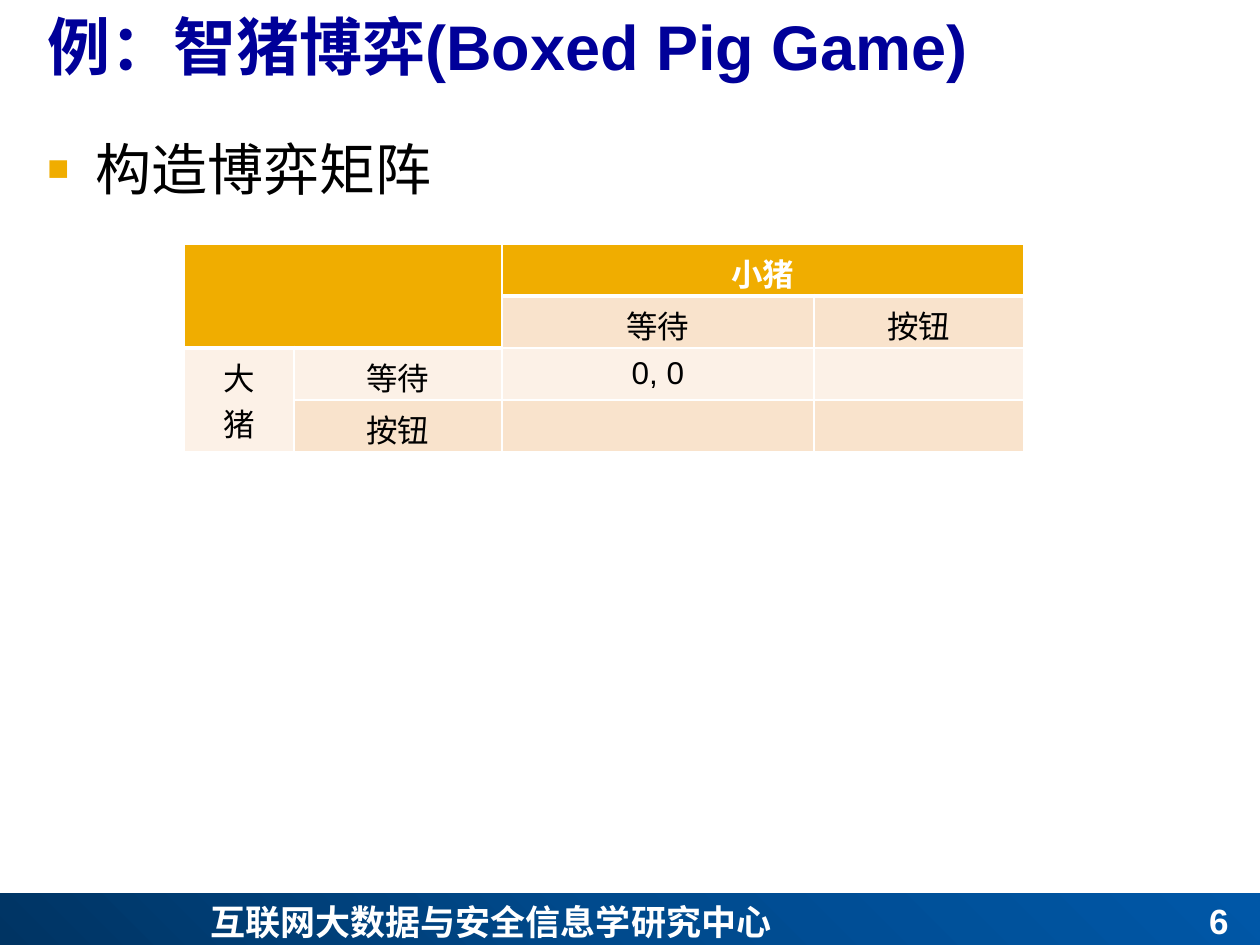
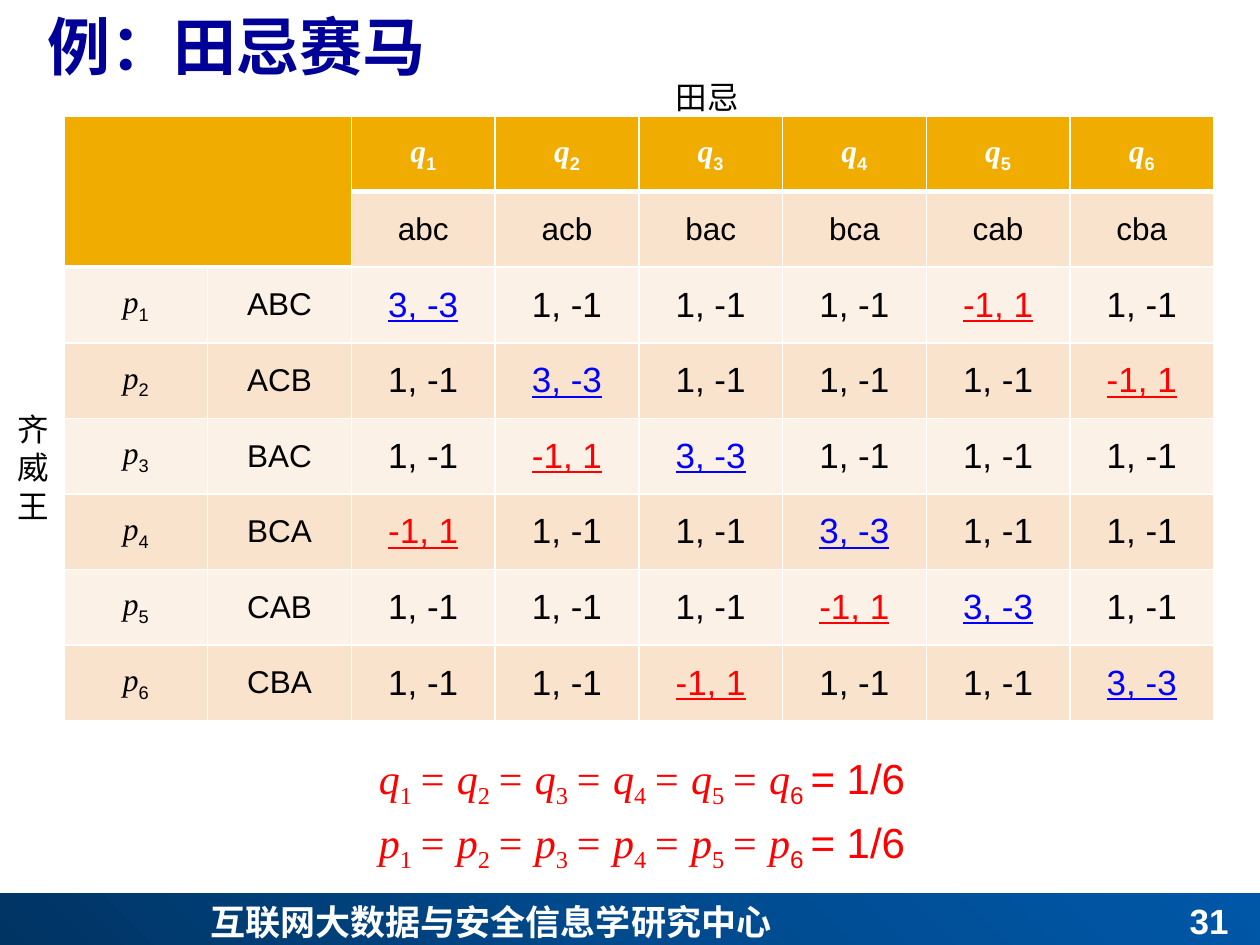
"""Build two game theory slides: the boxed pig game and Tian Ji's horse race."""
from lxml import etree
from pptx import Presentation
from pptx.dml.color import RGBColor
from pptx.enum.shapes import MSO_SHAPE
from pptx.enum.text import MSO_ANCHOR, PP_ALIGN
from pptx.oxml import parse_xml
from pptx.oxml.ns import nsdecls, qn
from pptx.util import Emu, Pt

LEFT, CENTER, RIGHT, JUSTIFY = PP_ALIGN.LEFT, PP_ALIGN.CENTER, PP_ALIGN.RIGHT, PP_ALIGN.JUSTIFY
TOP, MIDDLE, BOTTOM = MSO_ANCHOR.TOP, MSO_ANCHOR.MIDDLE, MSO_ANCHOR.BOTTOM
RECTANGLE = MSO_SHAPE.RECTANGLE

WHITE = RGBColor(0xFF, 0xFF, 0xFF)
BLACK = RGBColor(0, 0, 0)
NAVY = RGBColor(0, 0, 0x99)
BLUE = RGBColor(0, 0, 0xFF)
RED = RGBColor(0xFF, 0, 0)
GOLD = RGBColor(0xF0, 0xAD, 0)
PEACH = RGBColor(0xF9, 0xE3, 0xCC)
CREAM = RGBColor(0xFC, 0xF1, 0xE7)
BAND_STOPS = [(0, RGBColor(0, 0x34, 0x63)), (50, RGBColor(0, 0x4A, 0x8D)),
              (100, RGBColor(0, 0x57, 0xA7))]

SANS, SERIF, CJK = "Arial", "Times New Roman", "Noto Sans CJK SC"
PX_PER_INCH = 126

CENTRE_NAME = "互联网大数据与安全信息学研究中心"
PIG_TITLE = "例：智猪博弈(Boxed Pig Game)"
PIG_POINT = "构造博弈矩阵"
PIG_ROWS = [
    ["", "", "小猪", ""],
    ["", "", "等待", "按钮"],
    ["大\n猪", "等待", "0, 0", ""],
    ["", "按钮", "", ""],
]
PIG_MERGES = [(0, 0, 1, 1), (0, 2, 0, 3), (2, 0, 3, 0)]
PIG_WIDTHS = [110, 208, 312, 210]

RACE_TITLE = "例：田忌赛马"
TIAN_JI = "田忌"
KING = "齐\n威\n王"
ORDERS = ["abc", "acb", "bac", "bca", "cab", "cba"]
KING_LOSES = [4, 5, 1, 0, 3, 2]
RACE_MERGES = [(0, 0, 1, 1)]


def px(length):
    return Emu(round(length * 914400 / PX_PER_INCH))


def add_run(paragraph, text, size=18, color=BLACK, font=SANS, bold=False,
            italic=False, underline=False, subscript=False):
    run = paragraph.add_run()
    run.text = text
    run.font.size = Pt(size)
    run.font.color.rgb = color
    run.font.name = font
    run.font.bold = bold
    run.font.italic = italic
    run.font.underline = underline
    properties = run._r.get_or_add_rPr()
    if subscript:
        properties.set("baseline", "-25000")
    east_asian = etree.SubElement(properties, qn("a:ea"))
    east_asian.set("typeface", CJK)


def write(frame, content, align, line=None, **style):
    """Fill a frame from a string with line breaks or a list of (text, style) runs."""
    lines = [[(text, {})] for text in content.split("\n")] if isinstance(content, str) else [content]
    for index, runs in enumerate(lines):
        paragraph = frame.add_paragraph() if index else frame.paragraphs[0]
        paragraph.alignment = align
        if line:
            paragraph.line_spacing = Pt(line)
        for text, extra in runs:
            if text:
                add_run(paragraph, text, **{**style, **extra})


def add_text(slide, box, content, align=LEFT, anchor=TOP, wrap=True, line=None, **style):
    frame = slide.shapes.add_textbox(*map(px, box)).text_frame
    frame.word_wrap = wrap
    frame.vertical_anchor = anchor
    write(frame, content, align, line, **style)
    return frame


def add_band(slide):
    band = slide.shapes.add_shape(RECTANGLE, *map(px, (0, 893, 1260, 55)))
    band.shadow.inherit = False
    band.line.fill.background()
    stops = "".join(f'<a:gs pos="{position * 1000}"><a:srgbClr val="{color}"/></a:gs>'
                    for position, color in BAND_STOPS)
    gradient = parse_xml(
        f'<a:gradFill {nsdecls("a")} rotWithShape="1"><a:gsLst>{stops}</a:gsLst>'
        '<a:path path="circle"><a:fillToRect t="100000" r="100000"/></a:path></a:gradFill>')
    band._element.spPr.find(qn("a:prstGeom")).addnext(gradient)


def start_slide(deck, title, number):
    slide = deck.slides.add_slide(deck.slide_layouts[6])
    add_band(slide)
    heading = dict(font=SANS, bold=True)
    add_text(slide, (198, 891, 863, 55), CENTRE_NAME, JUSTIFY, line=26,
             size=20, color=WHITE, font=CJK, bold=True)
    add_text(slide, (35, -4, 1225, 100), title, anchor=MIDDLE, line=43,
             size=36, color=NAVY, **heading)
    add_text(slide, (948, 893, 293, 55), str(number), RIGHT, BOTTOM,
             size=20, color=WHITE, **heading)
    return slide


def add_bullet(slide, text):
    frame = add_text(slide, (35, 122, 1191, 728), text, line=42, size=32)
    properties = frame.paragraphs[0]._p.get_or_add_pPr()
    properties.set("marL", str(px(48)))
    properties.set("indent", str(-px(48)))
    for bullet in (f'<a:buClr {nsdecls("a")}><a:srgbClr val="{GOLD}"/></a:buClr>',
                   f'<a:buSzPct {nsdecls("a")} val="65000"/>',
                   f'<a:buFont {nsdecls("a")} typeface="{SANS}"/>',
                   f'<a:buChar {nsdecls("a")} char="■"/>'):
        properties.append(parse_xml(bullet))


def add_borders(cell, top, bottom):
    properties = cell._tc.get_or_add_tcPr()
    for place, (side, points) in enumerate(zip("LRTB", (1, 1, top, bottom))):
        properties.insert(place, parse_xml(
            f'<a:ln{side} {nsdecls("a")} w="{Pt(points)}"><a:solidFill>'
            f'<a:srgbClr val="{WHITE}"/></a:solidFill></a:ln{side}>'))


def add_matrix(slide, left, top, widths, row_height, rows, merges):
    """Draw a payoff matrix with a gold corner and head row over tinted stripes."""
    table = slide.shapes.add_table(len(rows), len(widths), px(left), px(top),
                                   px(sum(widths)), px(row_height * len(rows))).table
    table.first_row = table.horz_banding = False
    for column, width in zip(table.columns, widths):
        column.width = px(width)
    for row in table.rows:
        row.height = px(row_height)
    for r1, c1, r2, c2 in merges:
        table.cell(r1, c1).merge(table.cell(r2, c2))
    for r, row in enumerate(rows):
        for c, content in enumerate(row):
            cell = table.cell(r, c)
            head_depth = 2 if c < 2 else 1
            is_head = r < head_depth
            cell.fill.solid()
            cell.fill.fore_color.rgb = GOLD if is_head else PEACH if r % 2 else CREAM
            cell.vertical_anchor = MIDDLE
            add_borders(cell, 3 if r == head_depth else 1, 3 if is_head else 1)
            write(cell.text_frame, content, CENTER,
                  color=WHITE if is_head else BLACK, bold=is_head)


def symbol(letter, number):
    return [(letter, dict(font=SERIF, italic=True)), (str(number), dict(subscript=True))]


def payoff(king, rival):
    if king == rival:
        return [("3, -3", dict(size=20, color=BLUE, underline=True))]
    if KING_LOSES[king] == rival:
        return [("-1, 1", dict(size=20, color=RED, underline=True))]
    return [("1, -1", dict(size=20))]


def race_rows():
    count = len(ORDERS)
    rows = [["", ""] + [symbol("q", n + 1) for n in range(count)], ["", ""] + ORDERS]
    for king, order in enumerate(ORDERS):
        rows.append([symbol("p", king + 1), order.upper()]
                    + [payoff(king, rival) for rival in range(count)])
    return rows


def equal_odds(letter):
    count = len(ORDERS)
    runs = []
    for n in range(1, count + 1):
        runs.append((letter if n == 1 else f"= {letter}", dict(font=SERIF, italic=True)))
        runs.append((f"{n} ", dict(font=SANS if n == count else SERIF, subscript=True)))
    return runs + [(f"= 1/{count}", {})]


def build_pig_slide(deck):
    slide = start_slide(deck, PIG_TITLE, 6)
    add_matrix(slide, 184, 244, PIG_WIDTHS, 52, PIG_ROWS, PIG_MERGES)
    add_bullet(slide, PIG_POINT)


def build_race_slide(deck):
    slide = start_slide(deck, RACE_TITLE, 31)
    rows = race_rows()
    columns = len(rows[0])
    add_matrix(slide, 64, 116, [1150 / columns] * columns, 605 / len(rows), rows, RACE_MERGES)
    add_text(slide, (0, 403, 67, 127), KING, CENTER, line=22)
    add_text(slide, (663, 71, 89, 50), TIAN_JI, CENTER, wrap=False, line=22)
    for place, letter in enumerate("qp"):
        add_text(slide, (353, 746 + 64 * place, 578, 63), equal_odds(letter), CENTER,
                 wrap=False, size=24, color=RED)


def main():
    deck = Presentation()
    deck.slide_width, deck.slide_height = px(1260), px(945)
    build_pig_slide(deck)
    build_race_slide(deck)
    deck.save("out.pptx")


if __name__ == "__main__":
    main()
